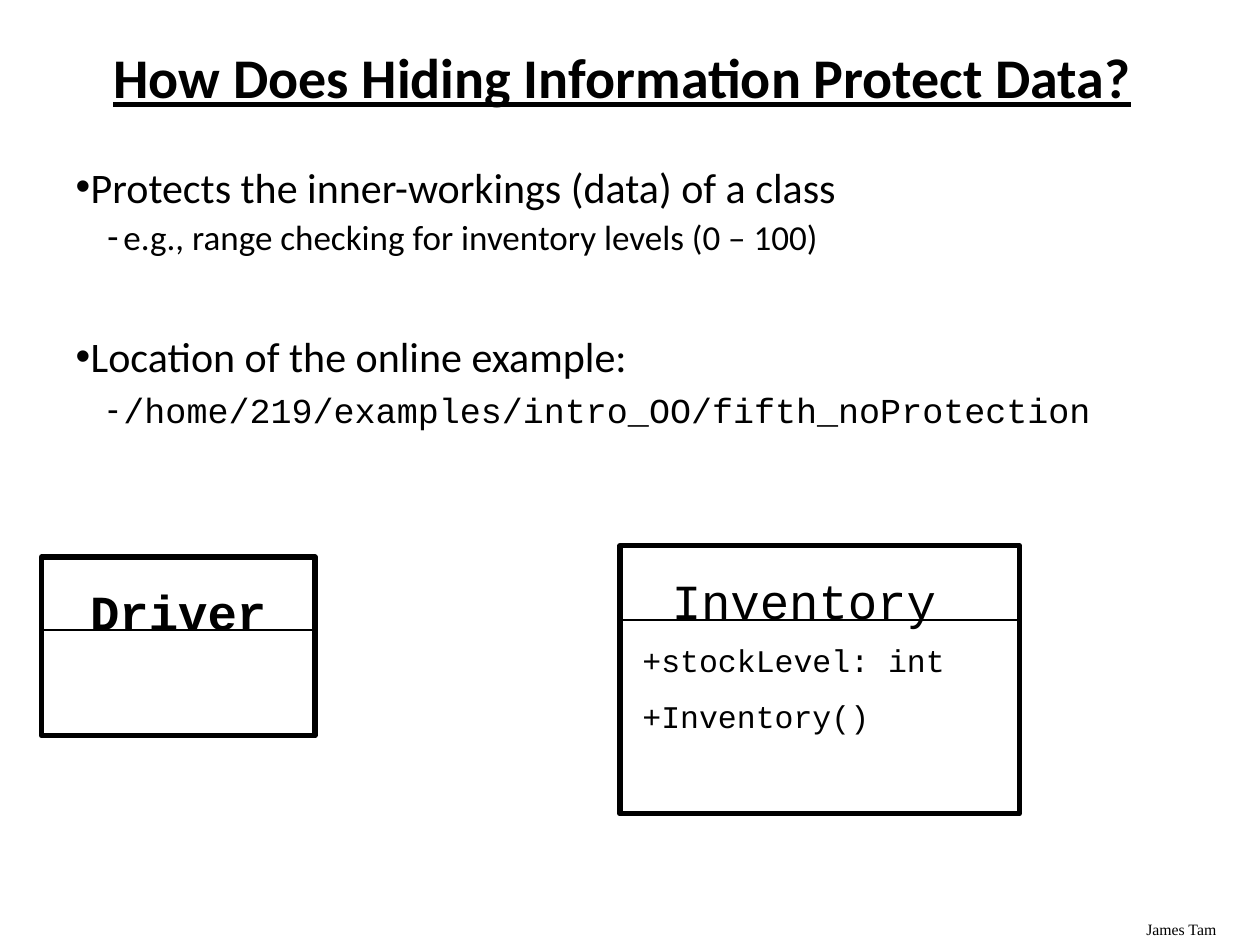
from dataclasses import dataclass

from lxml.etree import SubElement
from pptx import Presentation
from pptx.dml.color import RGBColor
from pptx.enum.shapes import MSO_CONNECTOR as Connector, MSO_SHAPE as Shape
from pptx.enum.text import MSO_ANCHOR as Anchor, MSO_AUTO_SIZE as AutoSize, PP_ALIGN as Align
from pptx.oxml.ns import qn
from pptx.slide import Slide
from pptx.util import Inches, Pt


def color(value):
    return RGBColor.from_string(value)


@dataclass
class SlideBuilder:
    slide: Slide
    ink: str = "000000"
    sans: str = "Calibri"
    mono: str = "Courier New"
    serif: str = "Times New Roman"

    def place(self, shape, left, top, width, height):
        shape.left, shape.top = Inches(left), Inches(top)
        shape.width, shape.height = Inches(width), Inches(height)

    def style(self, paragraph, size, font, bold=False, underline=False):
        paragraph.font.size = Pt(size)
        paragraph.font.name = font
        paragraph.font.bold = bold
        paragraph.font.underline = underline
        paragraph.font.color.rgb = color(self.ink)

    def title(self, text, *box):
        shape = self.slide.shapes.title
        self.place(shape, *box)
        frame = shape.text_frame
        frame.text = text
        frame.vertical_anchor = Anchor.MIDDLE
        paragraph = frame.paragraphs[0]
        paragraph.alignment = Align.CENTER
        paragraph.line_spacing = 0.9
        self.style(paragraph, 32, self.sans, bold=True, underline=True)

    def bullets(self, items, *box):
        shape = self.slide.placeholders[1]
        self.place(shape, *box)
        frame = shape.text_frame
        frame.auto_size = AutoSize.NONE
        frame.vertical_anchor = Anchor.TOP
        levels = [("•", 0.12, 0.12, 24), ("-", 0.38, 0.13, 20)]
        for index, (level, text, font, space) in enumerate(items):
            paragraph = frame.add_paragraph() if index else frame.paragraphs[0]
            paragraph.text = text
            paragraph.level = level
            paragraph.alignment = Align.LEFT
            paragraph.space_before = Pt(space)
            mark, margin, hang, size = levels[level]
            properties = paragraph._p.get_or_add_pPr()
            properties.set("marL", str(Inches(margin)))
            properties.set("indent", str(-Inches(hang)))
            SubElement(properties, qn("a:buChar")).set("char", mark)
            self.style(paragraph, size, font)

    def text(self, lines, size, font, *box, align=Align.LEFT, bold=False, gap=0):
        shape = self.slide.shapes.add_textbox(*map(Inches, box))
        frame = shape.text_frame
        frame.word_wrap = True
        for index, line in enumerate(lines):
            paragraph = frame.add_paragraph() if index else frame.paragraphs[0]
            paragraph.text = line
            paragraph.alignment = align
            if index:
                paragraph.space_before = Pt(gap)
            self.style(paragraph, size, font, bold=bold)

    def class_box(self, left, top, width, height, divider):
        shape = self.slide.shapes.add_shape(
            Shape.RECTANGLE, *map(Inches, (left, top, width, height)))
        shape.shadow.inherit = False
        shape.fill.background()
        shape.line.color.rgb = color(self.ink)
        shape.line.width = Pt(3)
        line = self.slide.shapes.add_connector(
            Connector.STRAIGHT, *map(Inches, (left, divider, left + width, divider)))
        line.line.color.rgb = color(self.ink)
        line.line.width = Pt(1)
        SubElement(line._element.spPr, qn("a:effectLst"))

    def class_name(self, text, *box, bold=False):
        self.text([text], 28, self.mono, *box, align=Align.CENTER, bold=bold)


def main():
    presentation = Presentation()
    presentation.slide_width, presentation.slide_height = Inches(10), Inches(7.5)
    builder = SlideBuilder(presentation.slides.add_slide(presentation.slide_layouts[1]))

    builder.text(["James Tam"], 9, builder.serif, 9, 7.25, 1, 0.25)
    builder.title("How Does Hiding Information Protect Data?", 0.44, 0.24, 9, 0.8)
    builder.bullets([
        (0, "Protects the inner-workings (data) of a class", builder.sans, 0),
        (1, "e.g., range checking for inventory levels (0 – 100)", builder.sans, 2),
        (0, "Location of the online example:", builder.sans, 42),
        (1, "/home/219/examples/intro_OO/fifth_noProtection", builder.mono, 4),
    ], 0.5, 1.23, 9, 2.6)

    builder.class_name("Driver", 0.58, 4.57, 1.67, 0.44, bold=True)
    builder.class_box(0.33, 4.42, 2.17, 1.42, divider=5)
    builder.class_name("Inventory", 5.17, 4.48, 2.42, 0.44)
    builder.class_box(4.92, 4.33, 3.17, 2.13, divider=4.92)
    builder.text(["+stockLevel: int", "+Inventory()"], 18, builder.mono,
                 5, 5.04, 3.03, 1.08, gap=10)

    presentation.save("out.pptx")


if __name__ == "__main__":
    main()
